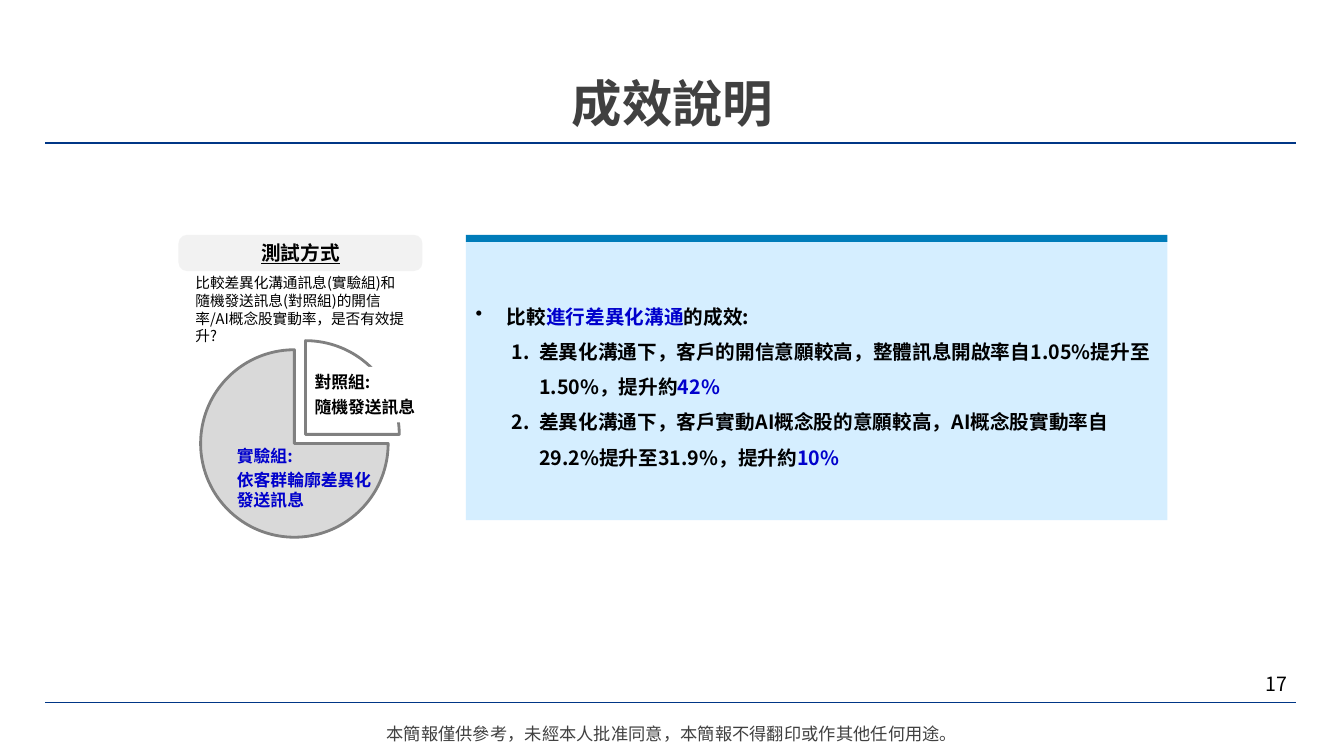
from dataclasses import dataclass

from lxml.etree import SubElement
from pptx import Presentation
from pptx.dml.color import RGBColor as RGB
from pptx.enum.shapes import MSO_CONNECTOR as CONN, MSO_SHAPE as SHAPE
from pptx.enum.text import MSO_ANCHOR as ANCHOR, PP_ALIGN as ALIGN
from pptx.oxml.ns import qn
from pptx.util import Inches, Pt


@dataclass(frozen=True)
class Theme:
    """Colours, fonts and type sizes of the slide."""
    font: str = "Noto Sans CJK SC"
    number_font: str = "Noto Sans CJK TC"
    black: str = "000000"
    white: str = "FFFFFF"
    grey_text: str = "404040"
    accent: str = "0000CC"
    rule: str = "003686"
    bar: str = "007CB9"
    panel: str = "D5EEFF"
    label: str = "F2F2F2"
    test_group: str = "D9D9D9"
    pie_line: str = "808080"
    title: float = 36
    body: float = 14
    footer: float = 12.3
    group: float = 12
    note: float = 10.5


T = Theme()


def add_rule(s, x, y, w):
    """Draw a thin horizontal rule."""
    c = s.shapes.add_connector(CONN.STRAIGHT, Inches(x), Inches(y), Inches(x + w), Inches(y))
    c.line.color.rgb = RGB.from_string(T.rule)
    c.line.width = Pt(1)
    SubElement(c._element.spPr, qn("a:effectLst"))


def add_block(s, kind, box, fill, line=None):
    """Add a flat preset shape in a box."""
    sp = s.shapes.add_shape(kind, *map(Inches, box))
    sp.shadow.inherit = False
    sp.fill.solid()
    sp.fill.fore_color.rgb = RGB.from_string(fill)
    if line:
        sp.line.color.rgb = RGB.from_string(line)
        sp.line.width = Pt(2)
    else:
        sp.line.fill.background()
    return sp


def add_text(s, box):
    """Add an empty text box."""
    return s.shapes.add_textbox(*map(Inches, box))


def style_run(r, size, color, bold=False, font=T.font):
    """Set the font of a run for Latin and East Asian text."""
    r.font.name = font
    r.font.size = Pt(size)
    r.font.bold = bold
    r.font.color.rgb = RGB.from_string(color)
    SubElement(r._r.get_or_add_rPr(), qn("a:ea"), typeface=font)


def write(sp, text, size, color, bold=False, font=T.font, align=ALIGN.LEFT,
          anchor=ANCHOR.TOP, insets=(0.1, 0.05, 0.1, 0.05), spacing=None, after=None):
    """Fill a shape with evenly styled paragraphs."""
    tf = sp.text_frame
    tf.word_wrap = True
    tf.vertical_anchor = anchor
    tf.margin_left, tf.margin_top, tf.margin_right, tf.margin_bottom = map(Inches, insets)
    tf.text = text
    for p in tf.paragraphs:
        p.alignment = align
        p.line_spacing = spacing
        p.space_after = after
        for r in p.runs:
            style_run(r, size, color, bold, font)
    return tf


def add_item(p, parts, left, hang, tag, **bullet):
    """Write a bulleted paragraph from (text, colour) parts."""
    p.alignment = ALIGN.LEFT
    p.line_spacing = 1.5
    pPr = p._p.get_or_add_pPr()
    pPr.set("marL", str(Inches(left)))
    pPr.set("indent", str(-Inches(hang)))
    SubElement(pPr, qn(tag), **bullet)
    for text, color in parts:
        r = p.add_run()
        r.text = text
        style_run(r, T.body, color, True)


def add_frame(s, x, w):
    """Place the title, rules, footer and page number."""
    add_rule(s, x, 6.97, w)
    add_rule(s, x, 1.42, w)
    write(add_text(s, (x + 1.54, 7.13, 9.35, 0.23)),
          "本簡報僅供參考，未經本人批准同意，本簡報不得翻印或作其他任何用途。",
          T.footer, T.grey_text, align=ALIGN.CENTER, insets=(0, 0, 0, 0), spacing=1.2)
    write(add_text(s, (x + 0.68, 0.61, 11.08, 1.25)), "成效說明",
          T.title, T.grey_text, True, align=ALIGN.CENTER, spacing=1.1)
    write(add_text(s, (x + w - 2.98, 6.58, 3, 0.4)), "17", T.body, T.black,
          font=T.number_font, align=ALIGN.RIGHT, anchor=ANCHOR.MIDDLE)


def add_results(s, x, y, w, h):
    """Place the results panel with its top bar."""
    bar = 0.07
    panel = add_block(s, SHAPE.RECTANGLE, (x, y + bar, w, h - bar), T.panel)
    add_block(s, SHAPE.RECTANGLE, (x, y, w, bar), T.bar)
    tf = panel.text_frame
    tf.word_wrap = True
    tf.vertical_anchor = ANCHOR.MIDDLE
    add_item(tf.paragraphs[0],
             [("比較", T.black), ("進行差異化溝通", T.accent), ("的成效:", T.black)],
             0.31, 0.31, "a:buChar", char="•")
    findings = [
        ("差異化溝通下，客戶的開信意願較高，整體訊息開啟率自1.05%提升至1.50%，提升約", "42%"),
        ("差異化溝通下，客戶實動AI概念股的意願較高，AI概念股實動率自29.2%提升至31.9%，提升約", "10%"),
    ]
    for finding, gain in findings:
        add_item(tf.add_paragraph(), [(finding, T.black), (gain, T.accent)],
                 0.63, 0.27, "a:buAutoNum", type="arabicPeriod")


def add_pie(s, x, y, d):
    """Place the test group pie and the control group slice."""
    add_block(s, SHAPE.PIE, (x, y + 0.09, d, d), T.test_group, T.pie_line)
    control = add_block(s, SHAPE.PIE, (x + 0.11, y, d, d), T.white, T.pie_line)
    control.adjustments[0] = 108
    control.adjustments[1] = 162
    control.rotation = 90
    label = add_block(s, SHAPE.RECTANGLE, (x + 1.09, y + 0.26, 1.17, 0.55), T.white)
    write(label, "對照組:\n隨機發送訊息", T.group, T.black, True,
          insets=(0.04, 0.05, 0, 0.05), after=Pt(3))
    write(add_text(s, (x + 0.36, y + 0.99, 1.45, 0.75)), "實驗組:\n依客群輪廓差異化發送訊息",
          T.group, T.accent, True, insets=(0, 0.05, 0, 0.05), after=Pt(3))


def add_method(s, x, y, w):
    """Place the test method heading, pie and question."""
    add_pie(s, x + 0.22, y + 1.05, 1.86)
    head = add_block(s, SHAPE.ROUNDED_RECTANGLE, (x, y, w, 0.36), T.label)
    head.adjustments[0] = 0.24
    tf = write(head, "測試方式", T.body, T.black, True, align=ALIGN.CENTER,
               anchor=ANCHOR.MIDDLE, insets=(0.08, 0.04, 0.08, 0.04))
    tf.paragraphs[0].runs[0].font.underline = True
    write(add_text(s, (x + 0.07, y + 0.34, w - 0.12, 0.81)),
          "比較差異化溝通訊息(實驗組)和隨機發送訊息(對照組)的開信率/AI概念股實動率，是否有效提升?",
          T.note, T.black)


def main():
    """Build and save the slide."""
    prs = Presentation()
    prs.slide_width, prs.slide_height = Inches(13.33), Inches(7.5)
    s = prs.slides.add_slide(prs.slide_layouts[6])
    add_frame(s, 0.45, 12.4)
    add_results(s, 4.62, 2.33, 6.96, 2.83)
    add_method(s, 1.77, 2.33, 2.42)
    prs.save("out.pptx")


if __name__ == "__main__":
    main()
